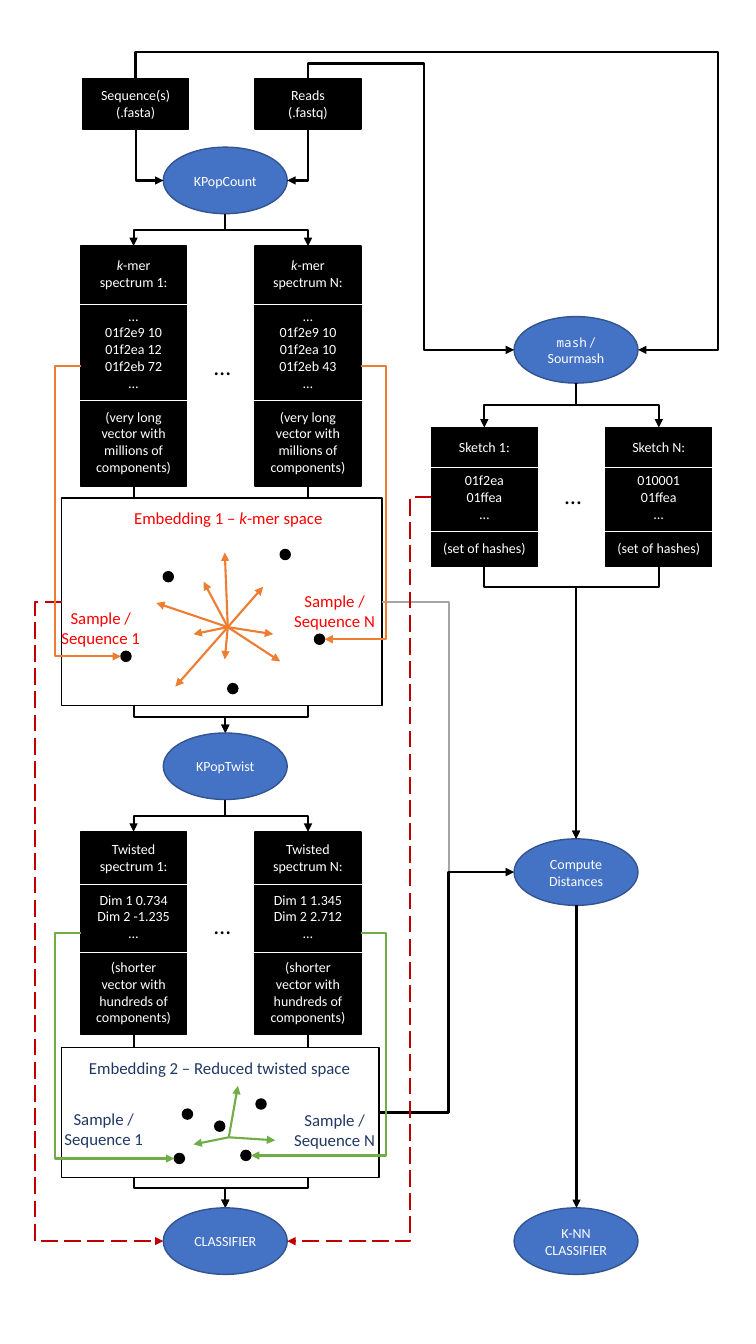
import lxml.etree
import pptx
import pptx.dml.color
import pptx.enum.dml
import pptx.enum.shapes
import pptx.enum.text
import pptx.oxml.ns
import pptx.util

Inches = pptx.util.Inches
Pt = pptx.util.Pt
qn = pptx.oxml.ns.qn
colour = pptx.dml.color.RGBColor.from_string
SHAPE = pptx.enum.shapes.MSO_SHAPE
CONNECTOR = pptx.enum.shapes.MSO_CONNECTOR
SubElement = lxml.etree.SubElement
BLACK, WHITE, BLUE, NAVY = "000000", "FFFFFF", "4472C4", "203864"
ORANGE, GREEN, RED, GREY = "ED7D31", "70AD47", "C00000", "A5A5A5"
TOP, LEFT, BOTTOM, RIGHT = range(4)


def write(part, sections, size=10, color=WHITE):
    frame = part.text_frame
    frame.word_wrap = True
    paragraph = None
    for section in sections:
        for row, content in enumerate(section):
            first = paragraph is None
            paragraph = frame.paragraphs[0] if first else frame.add_paragraph()
            paragraph.alignment = pptx.enum.text.PP_ALIGN.CENTER
            if row == 0 and not first:
                paragraph.space_before = Pt(12)
            runs = [(content, {})] if isinstance(content, str) else content
            for words, style in runs:
                for index, piece in enumerate(words.split("\n")):
                    if index:
                        paragraph.add_line_break()
                    run = paragraph.add_run()
                    run.text = piece
                    run.font.name = style.get("font", "Calibri")
                    run.font.size = Pt(style.get("size", size))
                    run.font.italic = style.get("italic", False)
                    run.font.color.rgb = colour(color)


def stroke(line, color, width=1.5, dashed=False, arrow=True):
    line.line.color.rgb = colour(color)
    line.line.width = Pt(width)
    if dashed:
        line.line.dash_style = pptx.enum.dml.MSO_LINE.LONG_DASH
    outline = line.element.spPr.find(qn("a:ln"))
    if arrow:
        SubElement(outline, qn("a:tailEnd"), type="triangle")
    SubElement(line.element.spPr, qn("a:effectLst"))


deck = pptx.Presentation()
deck.slide_width, deck.slide_height = Inches(7.5), Inches(13.33)
shapes = deck.slides.add_slide(deck.slide_layouts[6]).shapes

box, ring = SHAPE.RECTANGLE, SHAPE.OVAL
parts = {}
for name, preset, x, y, w, h, fill, edge in [
    ("space 1", box, 0.61, 4.94, 3.18, 2.06, WHITE, BLACK),
    ("space 2", box, 0.61, 10.39, 3.15, 1.29, WHITE, BLACK),
    ("sequences", box, 0.82, 0.78, 1.05, 0.5, BLACK, BLACK),
    ("reads", box, 2.53, 0.78, 1.05, 0.5, BLACK, BLACK),
    ("spectrum 1", box, 0.8, 2.44, 1.05, 2.38, BLACK, BLACK),
    ("spectrum N", box, 2.53, 2.44, 1.05, 2.38, BLACK, BLACK),
    ("twisted 1", box, 0.8, 8.25, 1.05, 2.01, BLACK, BLACK),
    ("twisted N", box, 2.53, 8.25, 1.05, 2.01, BLACK, BLACK),
    ("sketch 1", box, 4.28, 4.24, 1.05, 1.38, BLACK, BLACK),
    ("sketch N", box, 6.01, 4.24, 1.05, 1.38, BLACK, BLACK),
    ("count", ring, 1.62, 1.46, 1.23, 0.66, BLUE, "325491"),
    ("twist", ring, 1.62, 7.27, 1.23, 0.66, BLUE, "325491"),
    ("classifier", ring, 1.62, 11.98, 1.23, 0.66, BLUE, "325491"),
    ("mash", ring, 5.1, 3.14, 1.23, 0.66, BLUE, "325491"),
    ("distances", ring, 5.1, 8.32, 1.23, 0.66, BLUE, "325491"),
    ("knn", ring, 5.1, 11.98, 1.23, 0.66, BLUE, "325491"),
    ("sample 1", ring, 1.2, 6.46, 0.1, 0.1, BLACK, BLACK),
    ("sample N", ring, 3.12, 6.29, 0.1, 0.1, BLACK, BLACK),
    ("sample a", ring, 1.62, 5.67, 0.1, 0.1, BLACK, BLACK),
    ("sample b", ring, 2.78, 5.45, 0.1, 0.1, BLACK, BLACK),
    ("sample c", ring, 2.26, 6.78, 0.1, 0.1, BLACK, BLACK),
    ("reduced 1", ring, 1.73, 11.44, 0.1, 0.1, BLACK, BLACK),
    ("reduced N", ring, 2.39, 11.41, 0.1, 0.1, BLACK, BLACK),
    ("reduced a", ring, 1.81, 11.0, 0.1, 0.1, BLACK, BLACK),
    ("reduced b", ring, 2.54, 10.9, 0.1, 0.1, BLACK, BLACK),
    ("reduced c", ring, 2.13, 11.12, 0.1, 0.1, BLACK, BLACK),
]:
    part = parts[name] = shapes.add_shape(preset, Inches(x), Inches(y), Inches(w), Inches(h))
    part.shadow.inherit = False
    part.fill.solid()
    part.fill.fore_color.rgb = colour(fill)
    part.line.color.rgb = colour(edge)
    part.line.width = Pt(1)

for name, lines in {
    "sequences": ["Sequence(s)\n(.fasta)"],
    "reads": ["Reads\n(.fastq)"],
    "count": ["KPopCount"],
    "twist": ["KPopTwist"],
    "classifier": ["CLASSIFIER"],
    "mash": [[("mash", {"font": "Noto Sans Mono", "size": 9}), (" /", {})], "Sourmash"],
    "distances": ["Compute\nDistances"],
    "knn": ["K-NN", "CLASSIFIER"],
}.items():
    write(parts[name], [lines])

for label, counts, dims, hashes in [
    ("1", (10, 12, 72), ("0.734", "-1.235"), "01f2ea"),
    ("N", (10, 10, 43), ("1.345", "2.712"), "010001"),
]:
    kmers = [f"{kmer} {count}" for kmer, count in zip(("01f2e9", "01f2ea", "01f2eb"), counts)]
    write(parts[f"spectrum {label}"], [
        [[("k", {"italic": True}), (f"-mer\nspectrum {label}:", {})]],
        ["…", *kmers, "…"],
        ["(very long", "vector with", "millions of", "components)"]])
    write(parts[f"twisted {label}"], [
        [f"Twisted\nspectrum {label}:"],
        [f"Dim 1 {dims[0]}", f"Dim 2 {dims[1]}", "…"],
        ["(shorter", "vector with", "hundreds of", "components)"]])
    write(parts[f"sketch {label}"], [
        [f"Sketch {label}:"], [hashes, "01ffea", "…"], ["(set of hashes)"]])

for source, leave, target, enter, bends, color, cover in [
    ("space 1", RIGHT, "distances", LEFT, [4.45], GREY, None),
    ("space 1", LEFT, "classifier", LEFT, [0.35], RED, None),
    ("space 2", RIGHT, "distances", LEFT, [4.45], BLACK, None),
    ("twisted N", BOTTOM, "classifier", TOP, [11.78], BLACK, "space 2"),
    ("twisted 1", BOTTOM, "classifier", TOP, [11.78], BLACK, "space 2"),
    ("spectrum N", BOTTOM, "twist", TOP, [7.11], BLACK, "space 1"),
    ("spectrum 1", BOTTOM, "twist", TOP, [7.11], BLACK, "space 1"),
    ("sequences", BOTTOM, "count", LEFT, [], BLACK, None),
    ("reads", BOTTOM, "count", RIGHT, [], BLACK, None),
    ("count", BOTTOM, "spectrum 1", TOP, [2.28], BLACK, None),
    ("count", BOTTOM, "spectrum N", TOP, [2.28], BLACK, None),
    ("spectrum 1", LEFT, "sample 1", LEFT, [0.55], ORANGE, None),
    ("spectrum N", RIGHT, "sample N", RIGHT, [3.83], ORANGE, None),
    ("twist", BOTTOM, "twisted 1", TOP, [8.09], BLACK, None),
    ("twist", BOTTOM, "twisted N", TOP, [8.09], BLACK, None),
    ("twisted 1", LEFT, "reduced 1", LEFT, [0.55], GREEN, None),
    ("twisted N", RIGHT, "reduced N", RIGHT, [3.83], GREEN, None),
    ("mash", BOTTOM, "sketch 1", TOP, [4.02], BLACK, None),
    ("mash", BOTTOM, "sketch N", TOP, [4.02], BLACK, None),
    ("sketch 1", BOTTOM, "distances", TOP, [5.82], BLACK, None),
    ("sketch N", BOTTOM, "distances", TOP, [5.82], BLACK, None),
    ("sketch 1", LEFT, "classifier", RIGHT, [4.07], RED, None),
    ("sequences", TOP, "mash", RIGHT, [0.52, 7.13], BLACK, None),
    ("reads", TOP, "mash", LEFT, [0.63, 4.21], BLACK, None),
]:
    ends = []
    for name, side in [(source, leave), (target, enter)]:
        part = parts[name]
        across, down = [(0.5, 0), (0, 0.5), (0.5, 1), (1, 0.5)][side]
        ends.append((part.left + part.width * across, part.top + part.height * down))
    (x1, y1), (x2, y2) = ends
    vertical = leave in (TOP, BOTTOM)
    corners, angle = (x1, y1, x2, y2), 0
    if vertical:
        angle = 90 if x2 < x1 else 270
        middle_x, middle_y = (x1 + x2) / 2, (y1 + y2) / 2
        reach = (y2 - y1) / 2 * (1 if x2 < x1 else -1)
        rise = abs(x2 - x1) / 2
        corners = (middle_x - reach, middle_y - rise, middle_x + reach, middle_y + rise)
    elif leave == LEFT:
        corners, angle = (x2, y2, x1, y1), 180
    link = shapes.add_connector(CONNECTOR.ELBOW, *map(round, corners))
    link.rotation = angle
    geometry = link.element.spPr.find(qn("a:prstGeom"))
    geometry.set("prst", f"bentConnector{2 + len(bends)}")
    guides = geometry.find(qn("a:avLst"))
    axes = [(y1, y2), (x1, x2)] if vertical else [(x1, x2)]
    for number, (bend, (begin, end)) in enumerate(zip(bends, axes), 1):
        share = round((Inches(bend) - begin) / (end - begin) * 100000)
        SubElement(guides, qn("a:gd"), name=f"adj{number}", fmla=f"val {share}")
    joints = link.element.find(".//" + qn("p:cNvCxnSpPr"))
    for tag, name, side in [("a:stCxn", source, leave), ("a:endCxn", target, enter)]:
        site = side * 2 if parts[name].auto_shape_type == ring else side
        SubElement(joints, qn(tag), id=str(parts[name].shape_id), idx=str(site))
    stroke(link, color, dashed=color == RED)
    if cover:
        parts[cover].element.addprevious(link.element)

for color, x, y, tips in [
    (ORANGE, 2.26, 6.22, [(2.78, 6.56), (2.61, 5.82), (2.23, 5.48), (2.02, 5.77), (2.23, 6.54),
                          (1.74, 6.81), (1.92, 6.29), (1.55, 5.98), (2.71, 6.29)]),
    (GREEN, 2.27, 11.28, [(2.36, 10.77), (1.92, 11.35), (2.73, 11.31)]),
    (BLACK, 5.72, 8.98, [(5.72, 11.98)]),
]:
    for tip_x, tip_y in tips:
        arrow = shapes.add_connector(
            CONNECTOR.STRAIGHT, Inches(x), Inches(y), Inches(tip_x), Inches(tip_y))
        stroke(arrow, color)

for lefts, heights in [((0.77, 2.5), (3.02, 3.97, 8.77, 9.45)), ((4.25, 5.98), (4.64, 5.27))]:
    for x in lefts:
        for y in heights:
            divider = shapes.add_connector(
                CONNECTOR.STRAIGHT, Inches(x), Inches(y), Inches(x + 1.12), Inches(y))
            stroke(divider, WHITE, width=0.5, arrow=False)

for x, y, w, h, content, size, color in [
    (2.02, 3.44, 0.37, 0.39, "…", 17, BLACK),
    (2.02, 8.98, 0.37, 0.39, "…", 17, BLACK),
    (5.5, 4.72, 0.37, 0.39, "…", 17, BLACK),
    (1.14, 4.99, 2.25, 0.3,
     [("Embedding 1 – ", {}), ("k", {"italic": True}), ("-mer space", {})], 12, "FF0000"),
    (0.53, 10.44, 3.3, 0.3, "Embedding 2 – Reduced twisted space", 12, NAVY),
    (0.05, 5.98, 1.9, 0.5, "Sample /\nSequence 1", 12, "FF0000"),
    (2.37, 5.81, 1.9, 0.5, "Sample /\nSequence N", 12, "FF0000"),
    (0.08, 10.95, 1.9, 0.5, "Sample /\nSequence 1", 12, NAVY),
    (2.37, 10.96, 1.9, 0.5, "Sample /\nSequence N", 12, NAVY),
]:
    caption = shapes.add_textbox(Inches(x), Inches(y), Inches(w), Inches(h))
    write(caption, [[content]], size=size, color=color)

deck.save("out.pptx")
